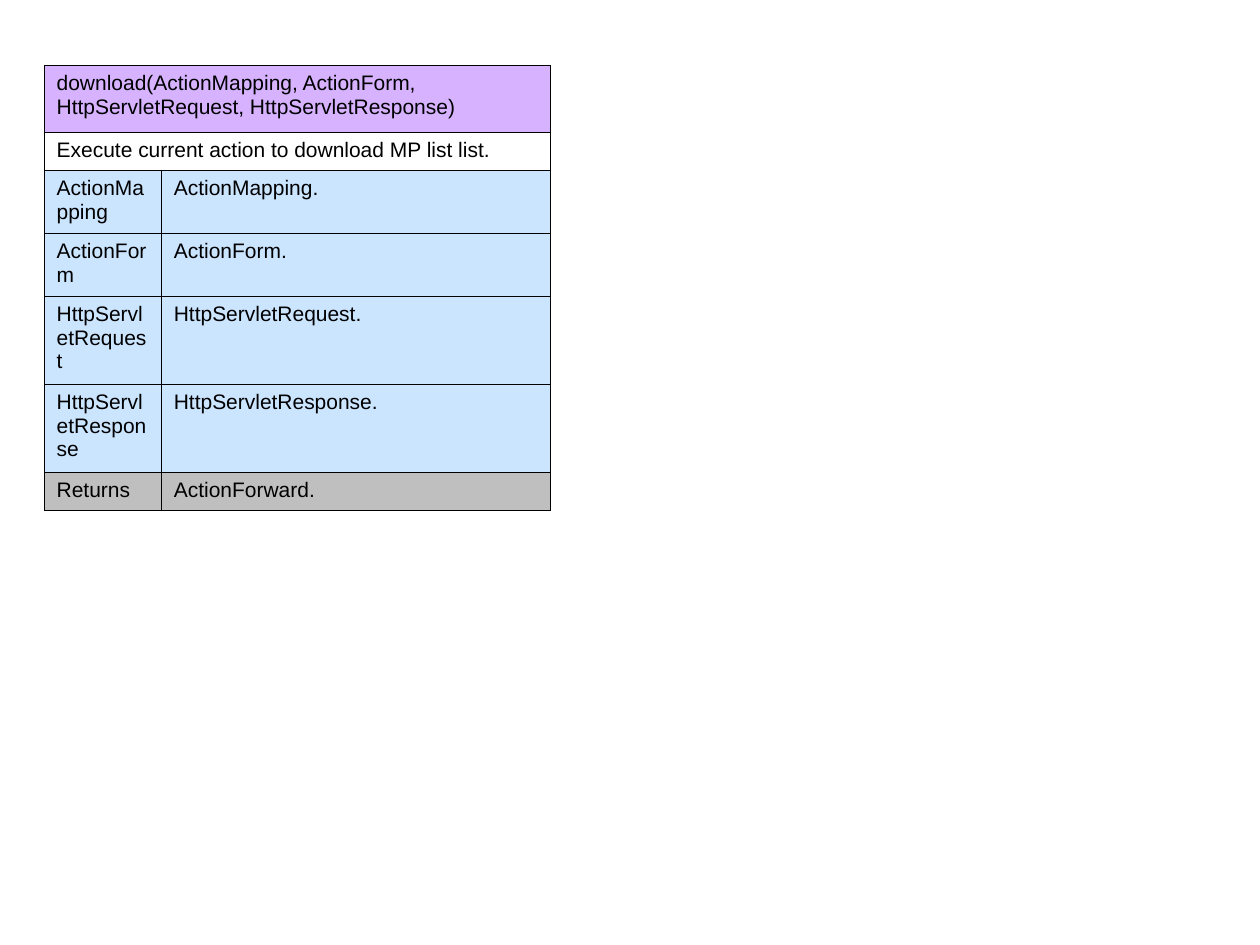
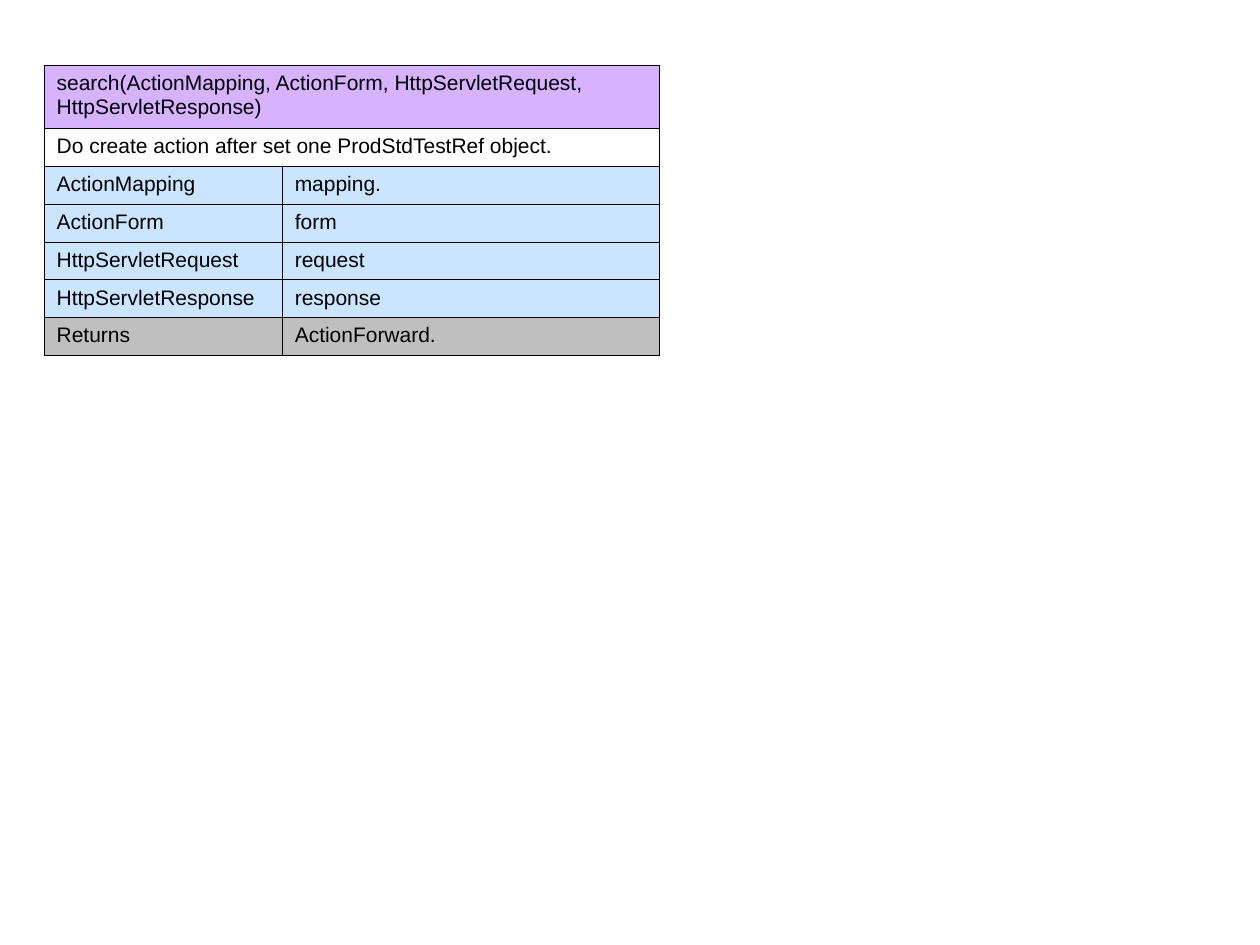
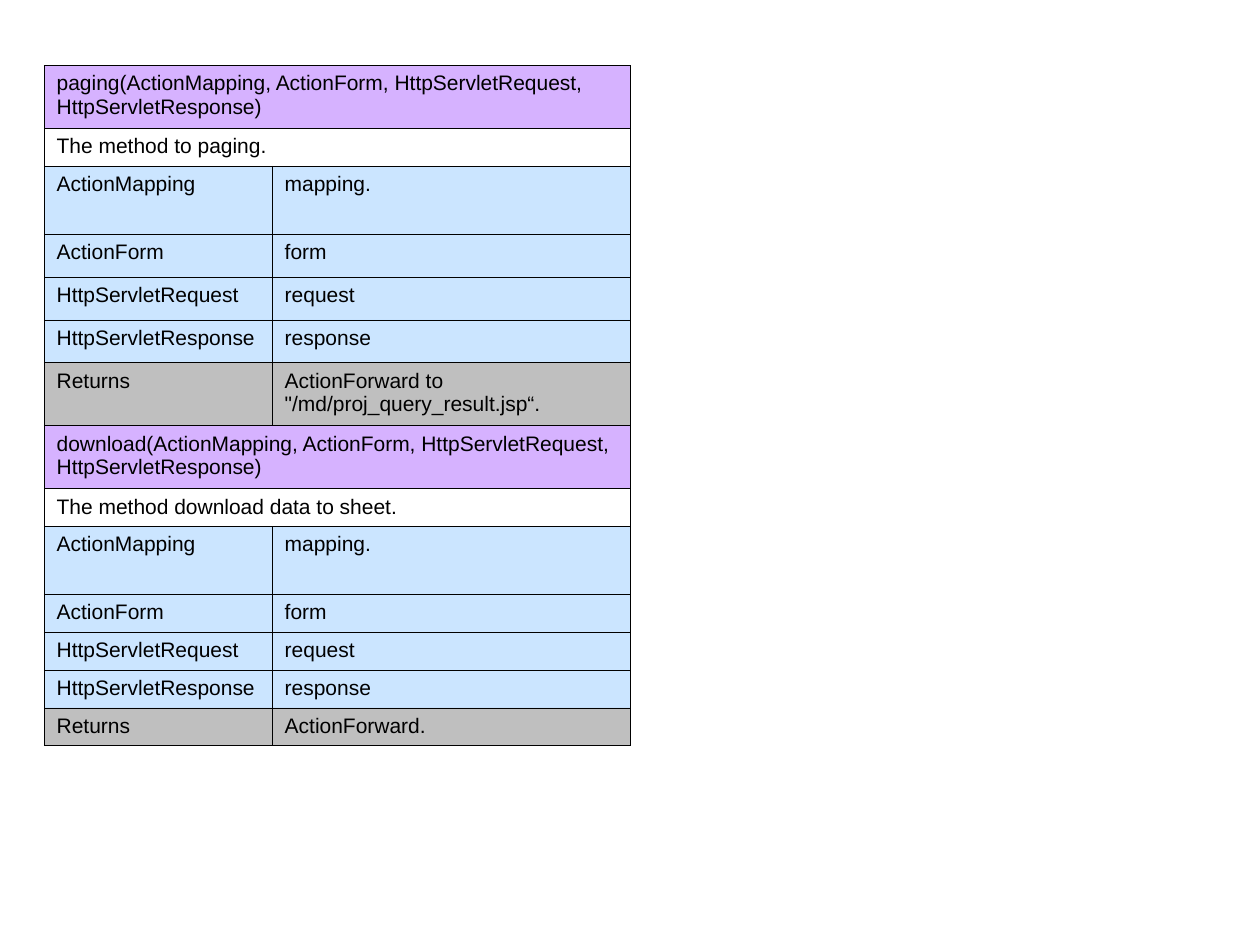
import dataclasses

import pptx
import pptx.dml.color
import pptx.oxml
import pptx.oxml.ns
import pptx.util

# Page grid: 100 columns by 75 rows
SLIDE_WIDTH = pptx.util.Inches(10)
SLIDE_HEIGHT = pptx.util.Inches(7.5)
COLUMN = SLIDE_WIDTH / 100
ROW = SLIDE_HEIGHT / 75
LEFT, TOP = 3.5, 5.2

# Shared style
COLORS = {
    "signature": "AF67FF",
    "parameter": "99CCFF",
    "returns": "808080",
    "text": "000000",
    "border": "000000",
}
FONT = "Arial"
TINT_ALPHA = 50
BORDER_POINTS = 0.45
PARAMETER_TYPES = ("ActionMapping", "ActionForm", "HttpServletRequest", "HttpServletResponse")
SIGNATURE = f"({', '.join(PARAMETER_TYPES)})"
PLAIN_NAMES = ("mapping.", "form", "request", "response")


@dataclasses.dataclass(frozen=True)
class Method:
    """One documented method; heights has one entry per table row, in grid rows."""
    name: str
    purpose: str
    heights: tuple[float, ...]
    parameters: tuple[str, ...] = PLAIN_NAMES
    returns: str = "ActionForward."

    def rows(self) -> list[tuple[str, tuple[str, ...]]]:
        return [
            ("signature", (self.name + SIGNATURE,)),
            ("purpose", (self.purpose,)),
            *(("parameter", pair) for pair in zip(PARAMETER_TYPES, self.parameters)),
            ("returns", ("Returns", self.returns)),
        ]


@dataclasses.dataclass(frozen=True)
class MethodPage:
    type_columns: float
    detail_columns: float
    methods: tuple[Method, ...]


PAGES = (
    MethodPage(9.3, 30.9, (
        Method("download", "Execute current action to download MP list list.",
               (5.3, 3, 5, 5, 7, 7, 3),
               parameters=tuple(f"{kind}." for kind in PARAMETER_TYPES)),
    )),
    MethodPage(18.9, 29.9, (
        Method("search", "Do create action after set one ProdStdTestRef object.",
               (5, 3, 3, 3, 3, 3, 3)),
    )),
    MethodPage(18.1, 28.4, (
        Method("paging", "The method to paging.", (5, 3, 5.4, 3.4, 3.4, 3.4, 5),
               returns='ActionForward to "/md/proj_query_result.jsp“.'),
        Method("download", "The method download data to sheet.",
               (5, 3, 5.4, 3, 3, 3, 3)),
    )),
)


def write_text(cell, text: str, *, size: float = 12, color: str = "text",
               space_before: float = 3) -> None:
    paragraph = cell.text_frame.paragraphs[0]
    paragraph.space_before = pptx.util.Pt(space_before)
    run = paragraph.add_run()
    run.text = text
    run.font.name = FONT
    run.font.size = pptx.util.Pt(size)
    run.font.color.rgb = pptx.dml.color.RGBColor.from_string(COLORS[color])


def tint_cell(cell, role: str) -> None:
    if role not in COLORS:
        cell.fill.background()
        return
    cell.fill.solid()
    cell.fill.fore_color.rgb = pptx.dml.color.RGBColor.from_string(COLORS[role])
    color = cell._tc.tcPr.find(".//" + pptx.oxml.ns.qn("a:srgbClr"))
    alpha = pptx.oxml.parse_xml(
        f'<a:alpha {pptx.oxml.ns.nsdecls("a")} val="{TINT_ALPHA * 1000}"/>')
    color.append(alpha)


def outline_cell(cell) -> None:
    properties = cell._tc.get_or_add_tcPr()
    for position, side in enumerate("LRTB"):
        properties.insert(position, pptx.oxml.parse_xml(
            f'<a:ln{side} {pptx.oxml.ns.nsdecls("a")} w="{pptx.util.Pt(BORDER_POINTS)}">'
            f'<a:solidFill><a:srgbClr val="{COLORS["border"]}"/></a:solidFill>'
            f'</a:ln{side}>'))


def draw_page(slide, page: MethodPage) -> None:
    rows = [row for method in page.methods for row in method.rows()]
    heights = [height for method in page.methods for height in method.heights]
    widths = (page.type_columns, page.detail_columns)
    table = slide.shapes.add_table(
        len(rows), len(widths), round(LEFT * COLUMN), round(TOP * ROW),
        round(sum(widths) * COLUMN), round(sum(heights) * ROW)).table
    table.first_row = table.horz_banding = False
    for column, width in zip(table.columns, widths):
        column.width = round(width * COLUMN)

    for index, ((role, texts), height) in enumerate(zip(rows, heights)):
        table.rows[index].height = round(height * ROW)
        cells = [table.cell(index, column) for column in range(len(widths))]
        for cell in cells:
            tint_cell(cell, role)
            outline_cell(cell)
        if len(texts) == 1:
            cells[0].merge(cells[-1])
        for cell, text in zip(cells, texts):
            write_text(cell, text)


def main() -> None:
    presentation = pptx.Presentation()
    presentation.slide_width = SLIDE_WIDTH
    presentation.slide_height = SLIDE_HEIGHT
    blank = presentation.slide_layouts[6]
    for page in PAGES:
        draw_page(presentation.slides.add_slide(blank), page)
    presentation.save("out.pptx")


if __name__ == "__main__":
    main()
